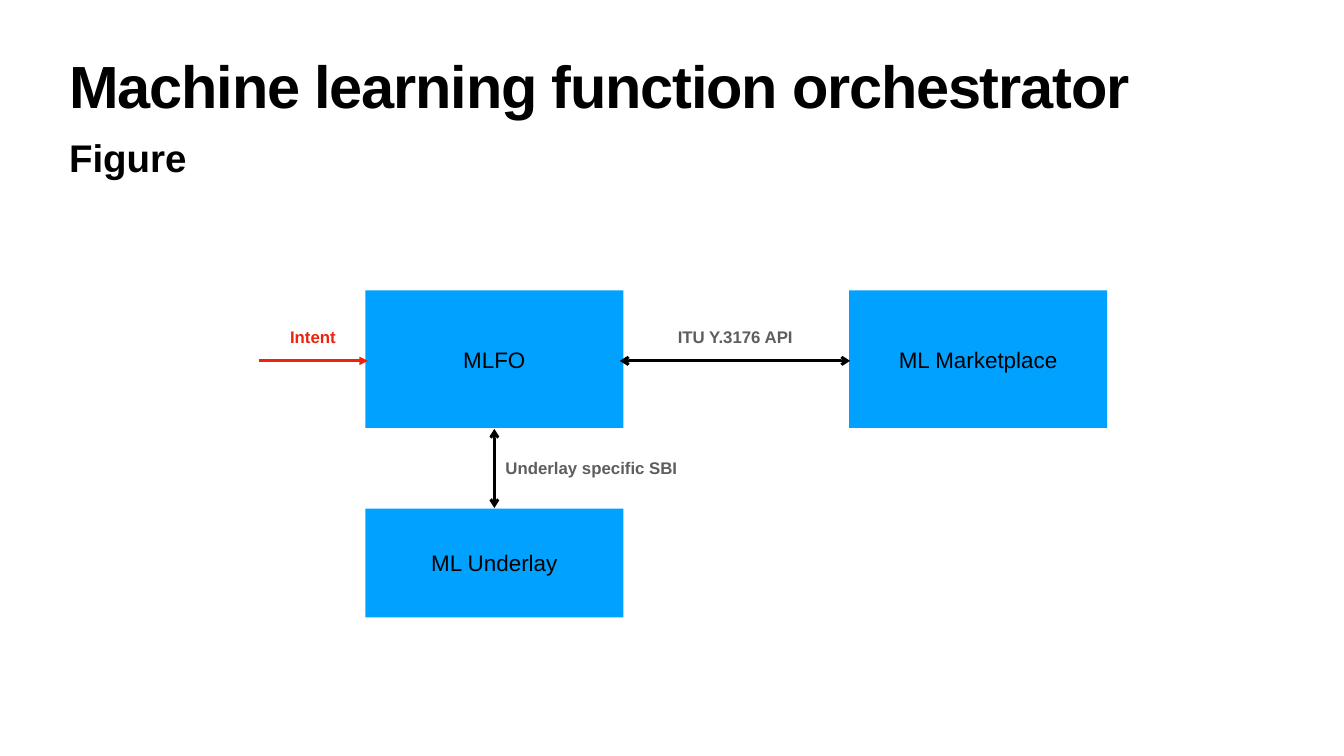
from lxml import etree
from pptx import Presentation
from pptx.dml.color import RGBColor
from pptx.enum.shapes import MSO_CONNECTOR as Connector, MSO_SHAPE as Shape
from pptx.enum.text import MSO_ANCHOR as Anchor, PP_ALIGN as Align
from pptx.oxml.ns import qn
from pptx.util import Inches, Pt

COLORS = {"box": "00A1FF", "black": "000000", "red": "EE230C", "gray": "5E5E5E"}
FONT = "Arial"
LEFT_COLUMN, RIGHT_COLUMN = 7.25, 16.85
TOP_ROW, BOTTOM_ROW = 5.76, 10.09
BOX_WIDTH = 5.12
ARROW_Y, ARROW_X = 7.16, LEFT_COLUMN + BOX_WIDTH / 2
LABEL_Y, LABEL_HEIGHT = 6.43, 0.5

HEADINGS = [
    ("Machine learning function orchestrator", (1.32, 1.18, 24.03, 1.57),
     {"size": 85, "line_spacing": 0.8, "tracking": -1.7}),
    ("Figure", (1.32, 2.6, 24.03, 1.02), {"size": 55, "inset": 0.05}),
]
BOXES = [
    ("MLFO", LEFT_COLUMN, TOP_ROW, 2.73),
    ("ML Underlay", LEFT_COLUMN, BOTTOM_ROW, 2.16),
    ("ML Marketplace", RIGHT_COLUMN, TOP_ROW, 2.73),
]
ARROWS = [
    ((5.13, ARROW_Y), (7.3, ARROW_Y), "red", {"tailEnd": "triangle"}),
    ((12.3, ARROW_Y), (16.87, ARROW_Y), "black", {"headEnd": "arrow", "tailEnd": "arrow"}),
    ((ARROW_X, 10.08), (ARROW_X, 8.51), "black", {"headEnd": "arrow", "tailEnd": "arrow"}),
]
LABELS = [
    ("Intent", 5.69, LABEL_Y, 1.04, "red"),
    ("ITU Y.3176 API", 13.38, LABEL_Y, 2.42, "gray"),
    ("Underlay specific SBI", 9.97, 9.04, 3.53, "gray"),
]


def rgb(name):
    return RGBColor.from_string(COLORS[name])


def write_text(shape, text, size, color="black", bold=False, align=Align.LEFT,
               anchor=Anchor.TOP, inset=0.06, wrap=True, line_spacing=None, tracking=0):
    frame = shape.text_frame
    frame.word_wrap = wrap
    frame.vertical_anchor = anchor
    frame.margin_left = frame.margin_right = Inches(inset)
    frame.margin_top = frame.margin_bottom = Inches(inset)
    paragraph = frame.paragraphs[0]
    paragraph.alignment = align
    if line_spacing:
        paragraph.line_spacing = line_spacing
    run = paragraph.add_run()
    run.text = text
    run.font.name = FONT
    run.font.size = Pt(size)
    run.font.bold = bold
    run.font.color.rgb = rgb(color)
    if tracking:
        run.font._element.set("spc", str(round(tracking * 100)))


def add_box(slide, text, left, top, height):
    shape = slide.shapes.add_shape(
        Shape.RECTANGLE, *map(Inches, (left, top, BOX_WIDTH, height)))
    shape.shadow.inherit = False
    shape.fill.solid()
    shape.fill.fore_color.rgb = rgb("box")
    shape.line.fill.background()
    write_text(shape, text, 32, align=Align.CENTER, anchor=Anchor.MIDDLE)


def add_arrow(slide, start, end, color, ends):
    connector = slide.shapes.add_connector(
        Connector.STRAIGHT, *map(Inches, start + end))
    connector.line.color.rgb = rgb(color)
    connector.line.width = Pt(4)
    line = connector.line._get_or_add_ln()
    for tag, kind in ends.items():
        etree.SubElement(line, qn(f"a:{tag}"), type=kind)
    etree.SubElement(connector._element.spPr, qn("a:effectLst"))


def main():
    presentation = Presentation()
    presentation.slide_width, presentation.slide_height = Inches(26.67), Inches(15)
    slide = presentation.slides.add_slide(presentation.slide_layouts[6])
    for text, place, style in HEADINGS:
        write_text(slide.shapes.add_textbox(*map(Inches, place)), text, bold=True, **style)
    for box in BOXES:
        add_box(slide, *box)
    for arrow in ARROWS:
        add_arrow(slide, *arrow)
    for text, left, top, width, color in LABELS:
        label = slide.shapes.add_textbox(*map(Inches, (left, top, width, LABEL_HEIGHT)))
        write_text(label, text, 24, color, bold=True, align=Align.CENTER,
                   anchor=Anchor.MIDDLE, wrap=False)
    presentation.save("out.pptx")


if __name__ == "__main__":
    main()
